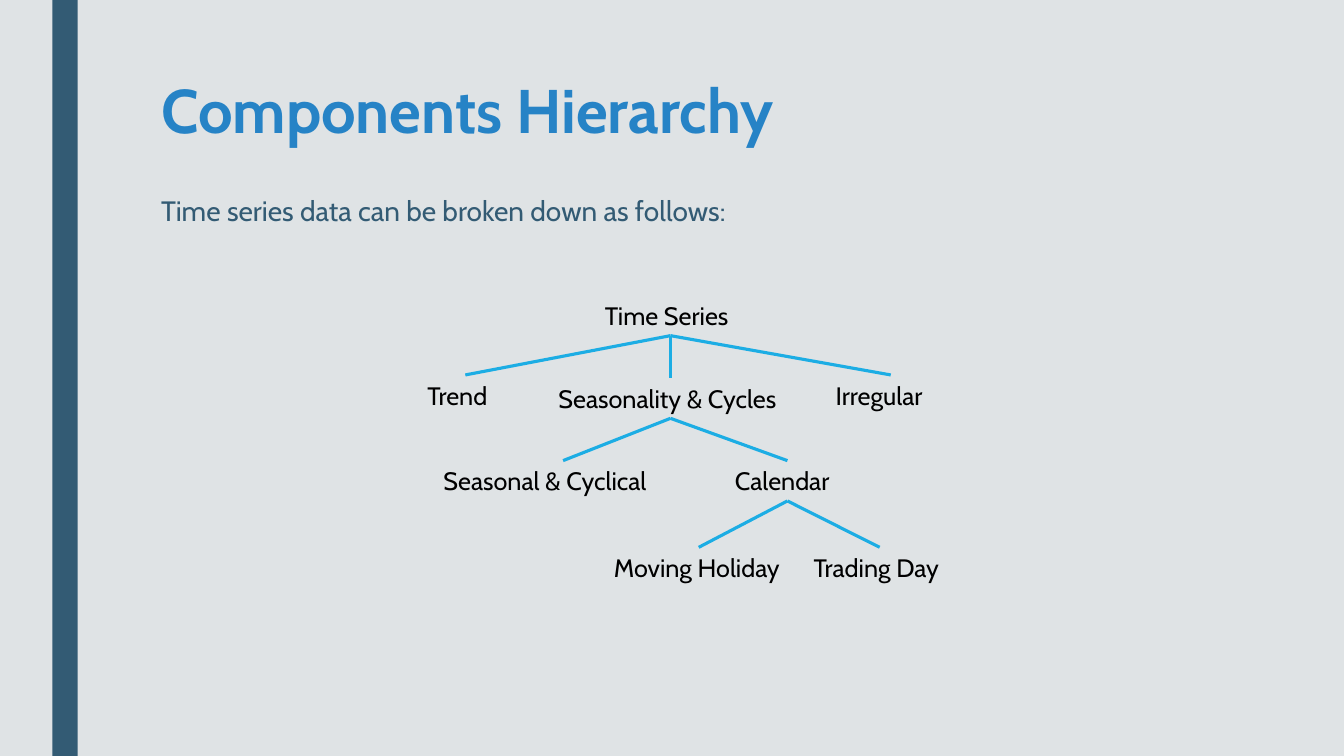
import pptx
import pptx.dml.color
import pptx.enum.shapes
import pptx.enum.text
import pptx.oxml
import pptx.oxml.ns
import pptx.util
from dataclasses import dataclass

Inches = pptx.util.Inches
Pt = pptx.util.Pt
RGB = pptx.dml.color.RGBColor.from_string
ALIGN = pptx.enum.text.PP_ALIGN
FIT = pptx.enum.text.MSO_AUTO_SIZE

# Content
TITLE = "Components Hierarchy"
INTRO = "Time series data can be broken down as follows:"
# Label, left, top, width
NODES = [
    ("Time Series", 5.9, 2.93, 1.5),
    ("Irregular", 8.19, 3.72, 1.29),
    ("Seasonal & Cyclical", 4.3, 4.57, 2.57),
    ("Trend", 4.14, 3.72, 0.95),
    ("Seasonality & Cycles", 5.44, 3.75, 2.42),
    ("Calendar", 7.19, 4.57, 1.24),
    ("Moving Holiday", 5.99, 5.43, 1.88),
    ("Trading Day", 7.97, 5.43, 1.51),
]
CHILDREN = {
    "Time Series": ["Seasonality & Cycles", "Trend", "Irregular"],
    "Seasonality & Cycles": ["Seasonal & Cyclical", "Calendar"],
    "Calendar": ["Moving Holiday", "Trading Day"],
}
NODE_HEIGHT = 0.4
BOTTOM, TOP = 2, 0


@dataclass(frozen=True)
class Theme:
    font: str = "Cabin"
    background: str = "DFE3E5"
    dark: str = "335B74"
    title: str = "2683C6"
    label: str = "000000"
    branch: str = "1CADE4"
    title_size: int = 44
    intro_size: int = 20
    label_size: int = 18
    branch_width: float = 2.25


THEME = Theme()


def add_text(page, text, left, top, width, height, *, size, color, bold=False,
             align=ALIGN.LEFT, spacing=None, before=0, after=0, fit=FIT.NONE):
    box = page.shapes.add_textbox(Inches(left), Inches(top), Inches(width), Inches(height))
    frame = box.text_frame
    frame.word_wrap = True
    frame.auto_size = fit
    para = frame.paragraphs[0]
    para.alignment = align
    para.line_spacing = spacing
    para.space_before, para.space_after = Pt(before), Pt(after)
    span = para.add_run()
    span.text = text
    span.font.name = THEME.font
    span.font.size = Pt(size)
    span.font.bold = bold
    span.font.color.rgb = RGB(color)
    return box


def add_branch(page, parent, child):
    line = page.shapes.add_connector(pptx.enum.shapes.MSO_CONNECTOR.STRAIGHT, 0, 0, 0, 0)
    line.begin_connect(parent, BOTTOM)
    line.end_connect(child, TOP)
    line.line.color.rgb = RGB(THEME.branch)
    line.line.width = Pt(THEME.branch_width)
    effects = pptx.oxml.parse_xml(f"<a:effectLst {pptx.oxml.ns.nsdecls('a')}/>")
    line._element.spPr.append(effects)


def main():
    deck = pptx.Presentation()
    deck.slide_width, deck.slide_height = Inches(13.33), Inches(7.5)
    page = deck.slides.add_slide(deck.slide_layouts[6])

    # Background and side band
    page.background.fill.solid()
    page.background.fill.fore_color.rgb = RGB(THEME.background)
    band = page.shapes.add_shape(pptx.enum.shapes.MSO_SHAPE.RECTANGLE,
                                 Inches(0.52), 0, Inches(0.25), deck.slide_height)
    band.shadow.inherit = False
    band.fill.solid()
    band.fill.fore_color.rgb = RGB(THEME.dark)
    band.line.fill.background()

    # Heading and introduction
    add_text(page, TITLE, 1.5, 0.75, 10.5, 1.62, size=THEME.title_size,
             color=THEME.title, bold=True, spacing=0.89)
    add_text(page, INTRO, 1.5, 1.92, 8.94, 5.31, size=THEME.intro_size, color=THEME.dark,
             align=ALIGN.JUSTIFY, spacing=0.84, before=10, after=2)

    # Tree labels
    boxes = {
        label: add_text(page, label, left, top, width, NODE_HEIGHT, size=THEME.label_size,
                        color=THEME.label, fit=FIT.SHAPE_TO_FIT_TEXT)
        for label, left, top, width in NODES
    }

    # Tree branches
    for parent, children in CHILDREN.items():
        for child in children:
            add_branch(page, boxes[parent], boxes[child])

    deck.save("out.pptx")


if __name__ == "__main__":
    main()
